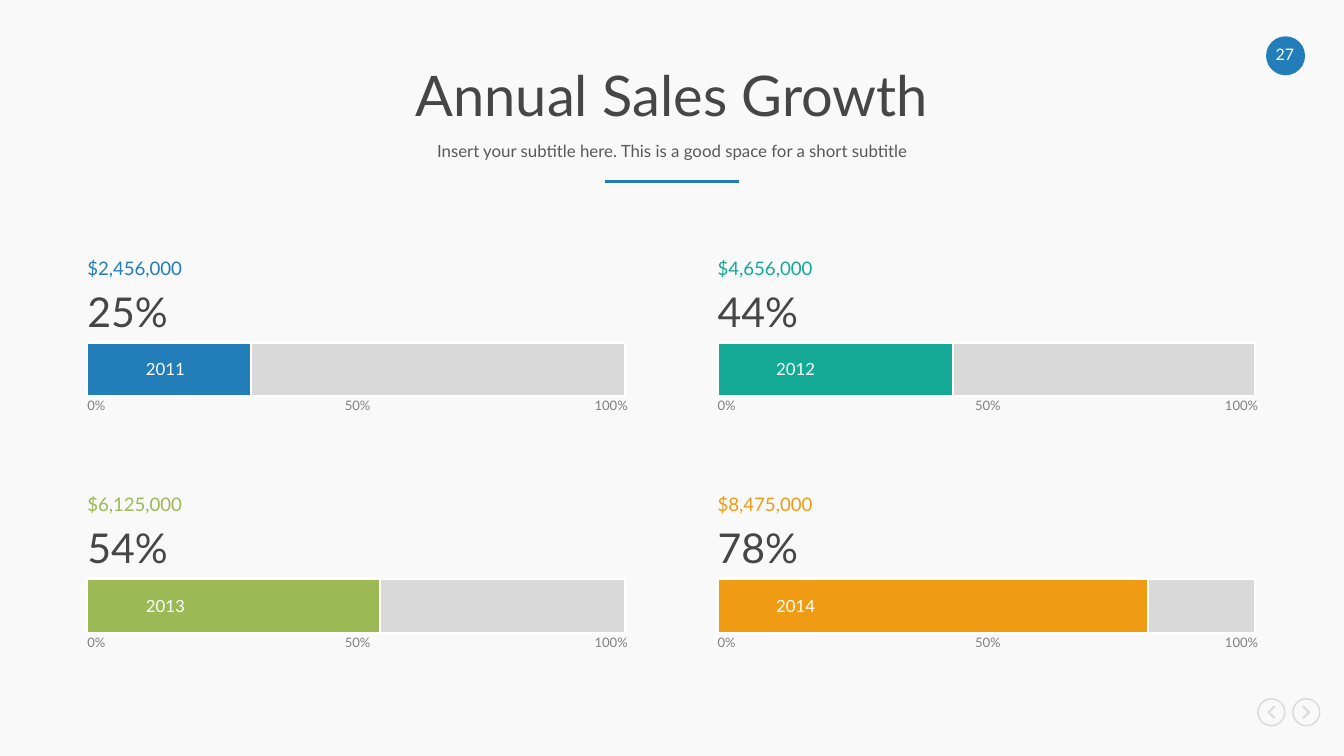
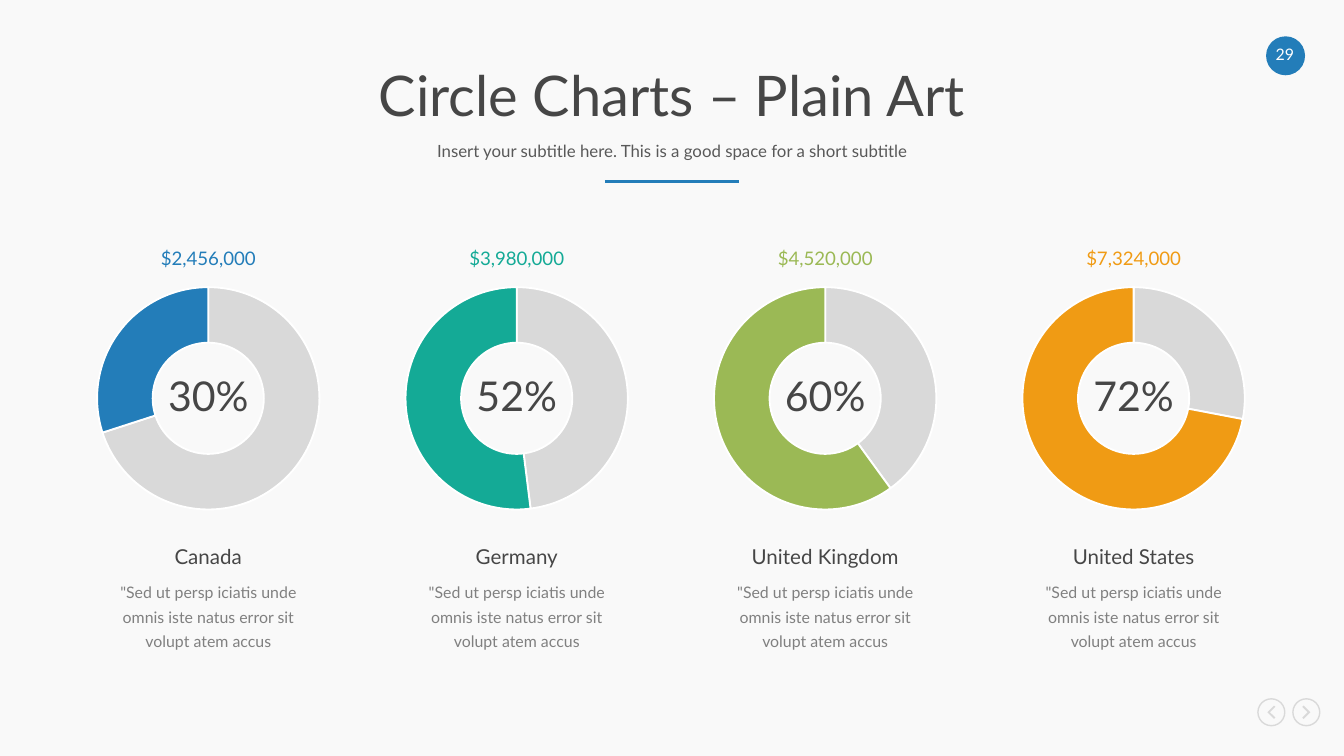
from lxml import etree
from pptx import Presentation
from pptx.chart.data import CategoryChartData
from pptx.dml.color import RGBColor as RGB
from pptx.enum.chart import XL_CHART_TYPE as CT
from pptx.enum.shapes import MSO_CONNECTOR as CON, MSO_SHAPE as SH
from pptx.enum.text import MSO_ANCHOR as ANC, PP_ALIGN as AL
from pptx.oxml import parse_xml
from pptx.oxml.ns import nsdecls, qn
from pptx.util import Inches as In, Pt

W, H = 10, 5.625
MARGIN = 0.065 * W
C = {
    "bg": "F9F9F9", "white": "FFFFFF", "track": "D9D9D9",
    "title": "464646", "subtitle": "595959", "muted": "808080",
    "blue": "237DB9", "teal": "14AA96", "green": "9BB955", "orange": "F09B14",
}
ACCENTS = ["blue", "teal", "green", "orange"]
STYLES = {
    "title": (30, "title", {"alignment": AL.CENTER, "line_spacing": 0.9}),
    "subtitle": (9, "subtitle", {"alignment": AL.CENTER, "line_spacing": 0.9}),
    "number": (8.5, "white", {"alignment": AL.CENTER}),
    "percent": (22, "title", {}),
    "amount": (10, "title", {}),
    "year": (9, "white", {"alignment": AL.CENTER}),
    "tick": (7, "muted", {}),
    "country": (11, "title", {"alignment": AL.CENTER, "space_after": Pt(12)}),
    "body": (8.5, "muted", {"alignment": AL.CENTER, "line_spacing": Pt(13),
                            "space_after": Pt(12)}),
}
SUBTITLE = "Insert your subtitle here. This is a good space for a short subtitle"
BODY = '"Sed ut persp iciatis unde omnis iste natus error sit volupt atem accus'


def add_text(s, x, y, w, h, text, style, color=None, anchor=ANC.TOP, **extra):
    size, default, para = STYLES[style]
    tf = s.shapes.add_textbox(In(x), In(y), In(w), In(h)).text_frame
    frame = {"word_wrap": True, "vertical_anchor": anchor, "margin_left": 0,
             "margin_right": 0, "margin_top": 0, "margin_bottom": 0}
    for key, value in frame.items():
        setattr(tf, key, value)
    p = tf.paragraphs[0]
    for key, value in {**para, **extra}.items():
        setattr(p, key, value)
    r = p.add_run()
    r.text = text
    for key, value in {"name": "Lato", "size": Pt(size)}.items():
        setattr(r.font, key, value)
    r.font.color.rgb = RGB.from_string(C[color or default])


def paint(sp, fill=None, line=None, width=1):
    sp.shadow.inherit = False
    if fill:
        sp.fill.solid()
        sp.fill.fore_color.rgb = RGB.from_string(C[fill])
    else:
        sp.fill.background()
    if line:
        sp.line.color.rgb = RGB.from_string(C[line])
        sp.line.width = Pt(width)
    else:
        sp.line.fill.background()


prs = Presentation()
prs.slide_width, prs.slide_height = In(W), In(H)

slides = []
for number, title in [("27", "Annual Sales Growth"), ("29", "Circle Charts – Plain Art")]:
    s = prs.slides.add_slide(prs.slide_layouts[6])
    slides.append(s)
    s.background.fill.solid()
    s.background.fill.fore_color.rgb = RGB.from_string(C["bg"])

    rule = s.shapes.add_connector(CON.STRAIGHT, In(0.45 * W), In(0.24 * H),
                                  In(0.55 * W), In(0.24 * H))
    rule.line.color.rgb = RGB.from_string(C["blue"])
    rule.line.width = Pt(1.5)
    etree.SubElement(rule._element.spPr, qn("a:effectLst"))

    paint(s.shapes.add_shape(SH.OVAL, In(9.42), In(0.27), In(0.29), In(0.29)), "blue")
    add_text(s, 9.44, 0.33, 0.24, 0.14, number, "number")

    mid = 5.3
    for cx, way in [(9.46, -1), (9.72, 1)]:
        arrow = [(0.03, 0), (-0.02, -0.05), (-0.03, -0.04),
                 (0.01, 0), (-0.03, 0.04), (-0.02, 0.05)]
        points = [(In(cx + way * dx), In(mid + dy)) for dx, dy in arrow]
        fb = s.shapes.build_freeform(*points[0])
        fb.add_line_segments(points[1:], close=True)
        paint(fb.convert_to_shape(), "track")
        ring = s.shapes.add_shape(SH.OVAL, In(cx - 0.1), In(mid - 0.1), In(0.2), In(0.2))
        paint(ring, None, "track", 0.75)

    add_text(s, MARGIN, 0.48, W - 2 * MARGIN, 0.5, title, "title", anchor=ANC.MIDDLE)
    add_text(s, MARGIN, 1.01, W - 2 * MARGIN, 0.25, SUBTITLE, "subtitle", anchor=ANC.MIDDLE)

bars_slide, rings_slide = slides

BAR_W, BAR_H, TICK_W = 4, 0.4, 0.35
COL, ROW = 4.69, 1.76
bars = [
    ("$2,456,000", "25%", "2011", 1.22),
    ("$4,656,000", "44%", "2012", 1.75),
    ("$6,125,000", "54%", "2013", 2.18),
    ("$8,475,000", "78%", "2014", 3.2),
]
ticks = [("0%", AL.LEFT), ("50%", AL.CENTER), ("100%", AL.RIGHT)]
s = bars_slide
for i, (amount, percent, year, length) in enumerate(bars):
    x, y = MARGIN + i % 2 * COL, 2.55 + i // 2 * ROW
    for width, color in [(BAR_W, "track"), (length, ACCENTS[i])]:
        paint(s.shapes.add_shape(SH.RECTANGLE, In(x), In(y), In(width), In(BAR_H)),
              color, "white")
    add_text(s, x, y - 0.42, 1, 0.39, percent, "percent")
    add_text(s, x, y - 0.64, 0.8, 0.17, amount, "amount", ACCENTS[i])
    add_text(s, x + 0.33, y + 0.12, 0.5, 0.15, year, "year")
    for j, (label, align) in enumerate(ticks):
        add_text(s, x + j * (BAR_W + 0.02 - TICK_W) / 2, y + BAR_H + 0.01,
                 TICK_W, 0.14, label, "tick", alignment=align)

RING_W, RING_H, PITCH = 1.93, 1.97, 2.295
rings = [
    ("$2,456,000", 30, "Canada"),
    ("$3,980,000", 52, "Germany"),
    ("$4,520,000", 60, "United Kingdom"),
    ("$7,324,000", 72, "United States"),
]
LAYOUT = {"x": 0.07, "y": 0.08, "w": 0.86, "h": 0.84}
s = rings_slide
for i, (amount, share, country) in enumerate(rings):
    cx = 1.55 + i * PITCH
    data = CategoryChartData()
    data.categories = ["1", "2"]
    data.add_series("Series 1", [100 - share, share])
    chart = s.shapes.add_chart(CT.DOUGHNUT, In(cx - RING_W / 2), In(1.98),
                               In(RING_W), In(RING_H), data).chart
    for key, value in {"has_legend": False, "has_title": False}.items():
        setattr(chart, key, value)
    for key, value in {"name": "Calibri", "size": Pt(18)}.items():
        setattr(chart.font, key, value)
    chart.font.color.rgb = RGB.from_string("000000")
    plot = chart.plots[0]
    plot.vary_by_categories = False
    for j, color in enumerate(["track", ACCENTS[i]]):
        fmt = plot.series[0].points[j].format
        fmt.fill.solid()
        fmt.fill.fore_color.rgb = RGB.from_string(C[color])
        fmt.line.color.rgb = RGB.from_string(C["white"])
        fmt.line.width = Pt(1)
    root = chart._chartSpace
    root.find(".//" + qn("c:holeSize")).set("val", "63")
    area = root.find(".//" + qn("c:plotArea"))
    for old in area.findall(qn("c:layout")):
        area.remove(old)
    values = "".join(f'<c:{k} val="{v}"/>' for k, v in LAYOUT.items())
    area.insert(0, parse_xml(
        f'<c:layout {nsdecls("c")}><c:manualLayout><c:layoutTarget val="inner"/>'
        f'<c:xMode val="edge"/><c:yMode val="edge"/>{values}'
        '</c:manualLayout></c:layout>'))

    add_text(s, cx - 0.4, 2.76, 0.8, 0.4, f"{share}%", "percent", alignment=AL.CENTER)
    add_text(s, cx - 0.4, 1.84, 0.8, 0.18, amount, "amount", ACCENTS[i],
             alignment=AL.CENTER)
    add_text(s, cx - 0.81, 4.3, 1.62, 0.64, BODY, "body")
    add_text(s, cx - 0.82, 4.05, 1.64, 0.22, country, "country")

prs.save("out.pptx")
